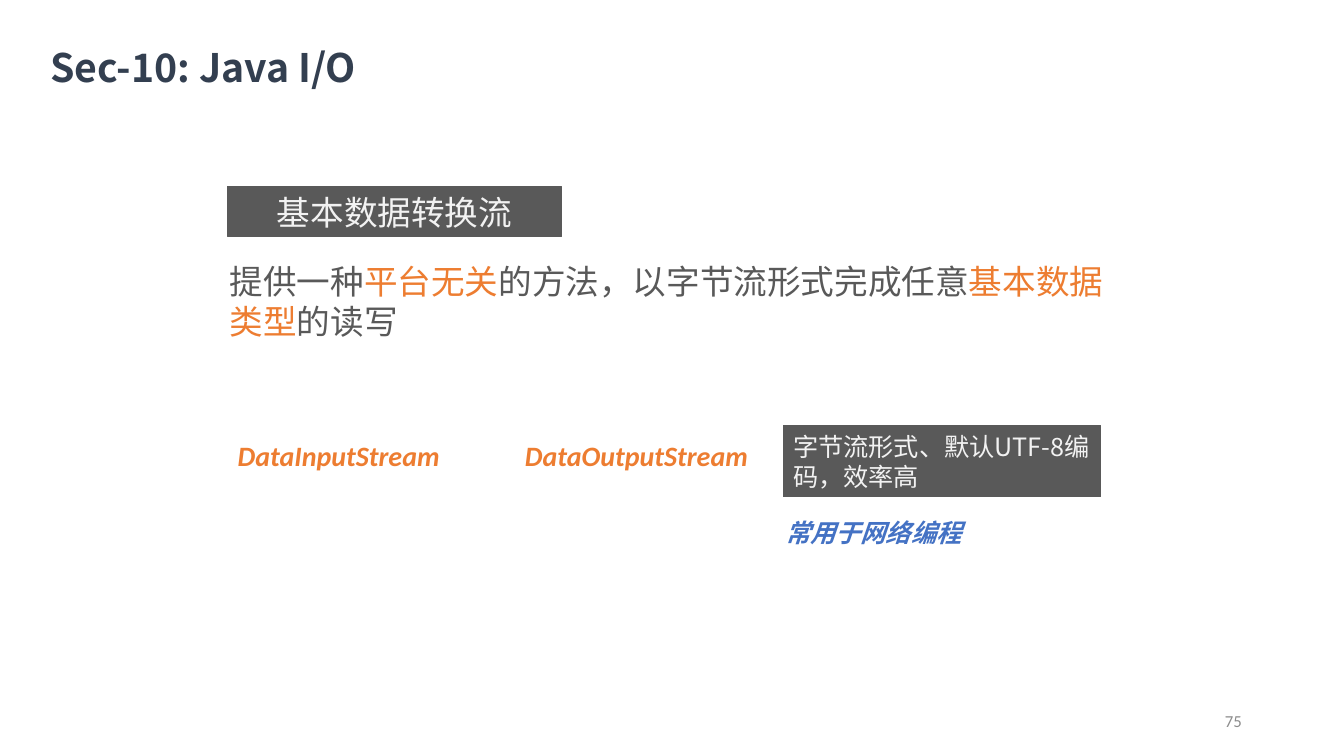
from lxml.etree import SubElement
from pptx import Presentation
from pptx.dml.color import RGBColor as RGB
from pptx.enum.shapes import MSO_SHAPE as Shape
from pptx.enum.text import MSO_ANCHOR as Anchor, MSO_AUTO_SIZE as Auto, PP_ALIGN as Align
from pptx.oxml.ns import qn
from pptx.util import Pt

# Content: runs are (text, colour name)
TITLE = [("Sec-10: Java I/O", "navy")]
HEAD = [("基本数据转换流", "pale")]
INTRO = [
    ("提供一种", "gray"),
    ("平台无关", "orange"),
    ("的方法，以字节流形式完成任意", "gray"),
    ("基本数据类型", "orange"),
    ("的读写", "gray"),
]
STREAMS = ["DataInputStream", "DataOutputStream"]
TRAIT = [("字节流形式、默认UTF-8编码，效率高", "pale")]
USAGE = [("常用于网络编程", "blue")]
PAGE = [("75", "mute")]

THEME = {
    "color": {"navy": "333F50", "pale": "F2F2F2", "gray": "595959",
              "orange": "ED7D31", "blue": "4472C4", "mute": "8C8C8C"},
    "size": {"title": 28, "body": 24, "class": 20, "note": 18, "page": 12},
    "cjk": "Noto Sans CJK SC",
    "latin": "Calibri",
}

# Layout in points
WIDE, HIGH = 960, 540
LEFT = 162.72           # edge of the heading bar
PAD = 5.76              # text boxes beside a bar start this much further left
CLASS_W, CLASS_GAP = 193, 12.2
NOTE_X, NOTE_W = 559.44, 226.8


def color(name):
    return RGB.from_string(THEME["color"][name])


def write(shape, runs, size, face="cjk", align=Align.LEFT, anchor=Anchor.TOP,
          frame=None, **style):
    """Fill a shape with one paragraph of coloured runs."""
    text = shape.text_frame
    form = {"word_wrap": True, "auto_size": Auto.NONE, "vertical_anchor": anchor}
    for key, val in {**form, **(frame or {})}.items():
        setattr(text, key, val)
    para = text.paragraphs[0]
    para.alignment = align
    look = {"name": THEME[face], "size": Pt(THEME["size"][size]), **style}
    for words, tone in runs:
        run = para.add_run()
        run.text = words
        for key, val in look.items():
            setattr(run.font, key, val)
        run.font.color.rgb = color(tone)
        east = SubElement(run.font._element, qn("a:ea"))
        east.set("typeface", THEME["cjk"])


def label(slide, box, *args, **style):
    write(slide.shapes.add_textbox(*map(Pt, box)), *args, **style)


def bar(slide, box, *args, **style):
    shape = slide.shapes.add_shape(Shape.RECTANGLE, *map(Pt, box))
    shape.shadow.inherit = False
    shape.fill.solid()
    shape.fill.fore_color.rgb = color("gray")
    shape.line.color.rgb = color("gray")
    shape.line.width = Pt(0.75)
    write(shape, *args, anchor=Anchor.MIDDLE, **style)


def main():
    deck = Presentation()
    deck.slide_width, deck.slide_height = Pt(WIDE), Pt(HIGH)
    slide = deck.slides.add_slide(deck.slide_layouts[5])

    # Title
    title = slide.shapes.title
    place = {"left": 36, "top": 30.24, "width": 466.56, "height": 34.56}
    for key, val in place.items():
        setattr(title, key, Pt(val))
    sides = {"margin_" + side: 0 for side in ("left", "top", "right", "bottom")}
    write(title, TITLE, "title", anchor=Anchor.MIDDLE, frame=sides, bold=True)

    # Heading and introduction
    bar(slide, (LEFT, 133.2, 238.32, 36), HEAD, "body", align=Align.CENTER)
    label(slide, (LEFT - PAD, 182.88, 646.56, 65.52), INTRO, "body")

    # Stream classes
    for i, name in enumerate(STREAMS):
        x = LEFT + i * (CLASS_W + CLASS_GAP)
        label(slide, (x, 309.6, CLASS_W, 31.68), [(name, "orange")], "class",
              face="latin", bold=True, italic=True)

    # Traits and usage
    bar(slide, (NOTE_X, 303.84, NOTE_W, 51.12), TRAIT, "note")
    label(slide, (NOTE_X - PAD, 365.76, NOTE_W, 28.8), USAGE, "note",
          bold=True, italic=True)

    # Page number
    label(slide, (678.24, 500.4, 216, 28.8), PAGE, "page", face="latin",
          align=Align.RIGHT, anchor=Anchor.MIDDLE)

    deck.save("out.pptx")


if __name__ == "__main__":
    main()
